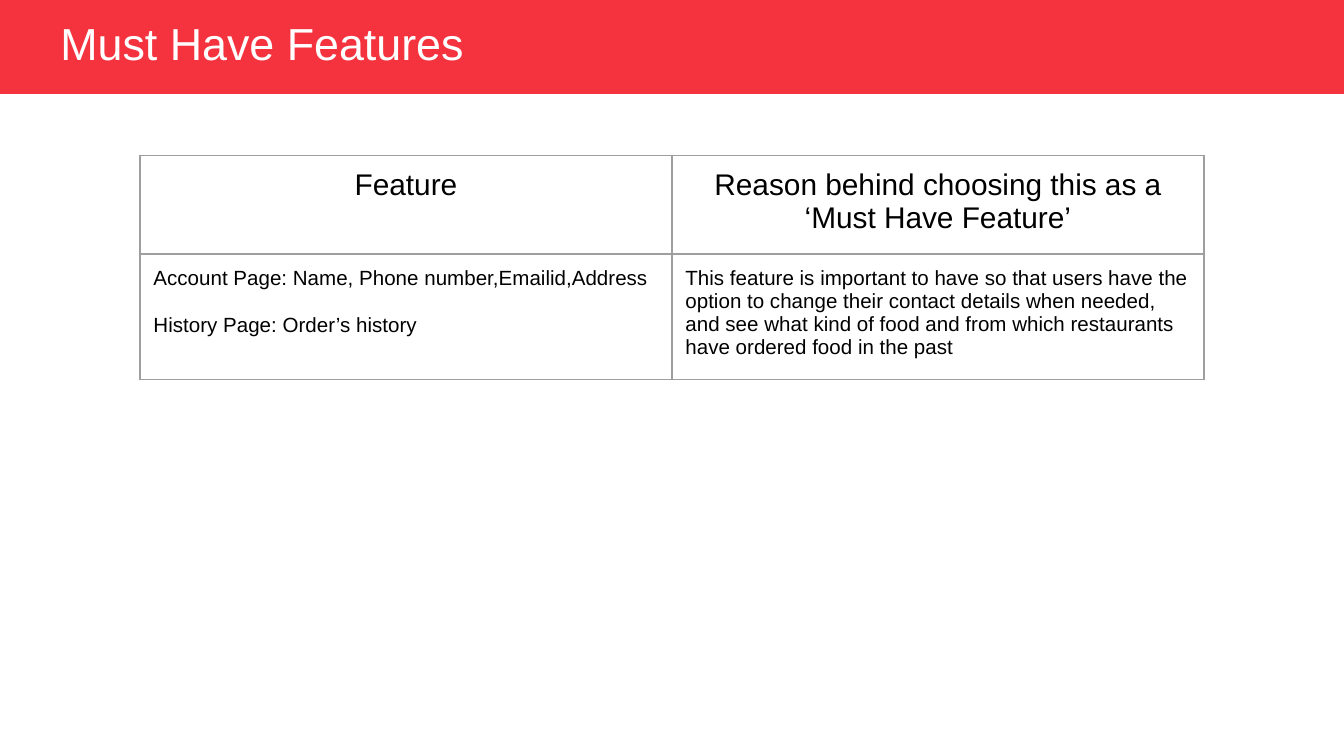
"""Build the Must Have Features slide: a title band above a two-column table."""
from lxml import etree
from pptx import Presentation
from pptx.dml.color import RGBColor
from pptx.enum.shapes import MSO_SHAPE
from pptx.enum.text import MSO_ANCHOR, PP_ALIGN
from pptx.oxml.ns import qn
from pptx.util import Pt

RECTANGLE = MSO_SHAPE.RECTANGLE
MIDDLE = MSO_ANCHOR.MIDDLE
LEFT, CENTER = PP_ALIGN.LEFT, PP_ALIGN.CENTER

TITLE = "Must Have Features"
HEADINGS = [["Feature"], ["Reason behind choosing this as a ‘Must Have Feature’"]]
DETAILS = [
    ["Account Page: Name, Phone number,Emailid,Address", "History Page: Order’s history"],
    ["This feature is important to have so that users have the option to change their "
     "contact details when needed, and see what kind of food and from which restaurants "
     "have ordered food in the past"],
]
ROWS = [
    {"cells": HEADINGS, "height": 48.25, "size": 16, "align": CENTER},
    {"cells": DETAILS, "height": 54, "size": 11, "align": LEFT},
]
COLORS = {"band": "F5333F", "title": "FFFFFF", "text": "000000", "border": "9E9E9E"}
FONT = "Arial"
SLIDE_W, SLIDE_H, BAND_H = 720, 405, 50.25
TABLE_W, TABLE_TOP = 570, 83.25
CELL_MARGIN, BORDER_W = 7.2, 0.75
PARAGRAPH_GAP = 12.65


def rgb(name):
    return RGBColor.from_string(COLORS[name])


def set_font(paragraph, size, color):
    paragraph.font.name = FONT
    paragraph.font.size = Pt(size)
    paragraph.font.color.rgb = rgb(color)


def set_borders(cell):
    properties = cell._tc.get_or_add_tcPr()
    for position, side in enumerate(("a:lnL", "a:lnR", "a:lnT", "a:lnB")):
        line = etree.Element(qn(side), w=str(Pt(BORDER_W)))
        fill = etree.SubElement(line, qn("a:solidFill"))
        etree.SubElement(fill, qn("a:srgbClr"), val=COLORS["border"])
        properties.insert(position, line)


def fill_cell(cell, texts, size, align):
    cell.fill.background()
    cell.margin_left = cell.margin_right = Pt(CELL_MARGIN)
    cell.margin_top = cell.margin_bottom = Pt(CELL_MARGIN)
    set_borders(cell)
    frame = cell.text_frame
    frame.text = "\n".join(texts)
    for index, paragraph in enumerate(frame.paragraphs):
        paragraph.alignment = align
        if index:
            paragraph.space_before = Pt(PARAGRAPH_GAP)
        set_font(paragraph, size, "text")


def add_header(slide):
    band = slide.shapes.add_shape(RECTANGLE, 0, 0, Pt(SLIDE_W), Pt(BAND_H))
    band.shadow.inherit = False
    band.fill.solid()
    band.fill.fore_color.rgb = rgb("band")
    band.line.fill.background()

    title = slide.shapes.add_textbox(Pt(25.2), Pt(9.25), Pt(294.5), Pt(30.25))
    frame = title.text_frame
    frame.word_wrap = True
    frame.vertical_anchor = MIDDLE
    frame.text = TITLE
    frame.paragraphs[0].line_spacing = 0.9
    set_font(frame.paragraphs[0], 24, "title")


def add_features(slide):
    columns = len(HEADINGS)
    table = slide.shapes.add_table(
        len(ROWS), columns, Pt((SLIDE_W - TABLE_W) / 2), Pt(TABLE_TOP),
        Pt(TABLE_W), Pt(sum(row["height"] for row in ROWS))).table
    table.first_row = table.horz_banding = False
    for r, row in enumerate(ROWS):
        table.rows[r].height = Pt(row["height"])
        for c, texts in enumerate(row["cells"]):
            fill_cell(table.cell(r, c), texts, row["size"], row["align"])


def main():
    deck = Presentation()
    deck.slide_width, deck.slide_height = Pt(SLIDE_W), Pt(SLIDE_H)
    slide = deck.slides.add_slide(deck.slide_layouts[6])
    add_header(slide)
    add_features(slide)
    deck.save("out.pptx")


if __name__ == "__main__":
    main()
